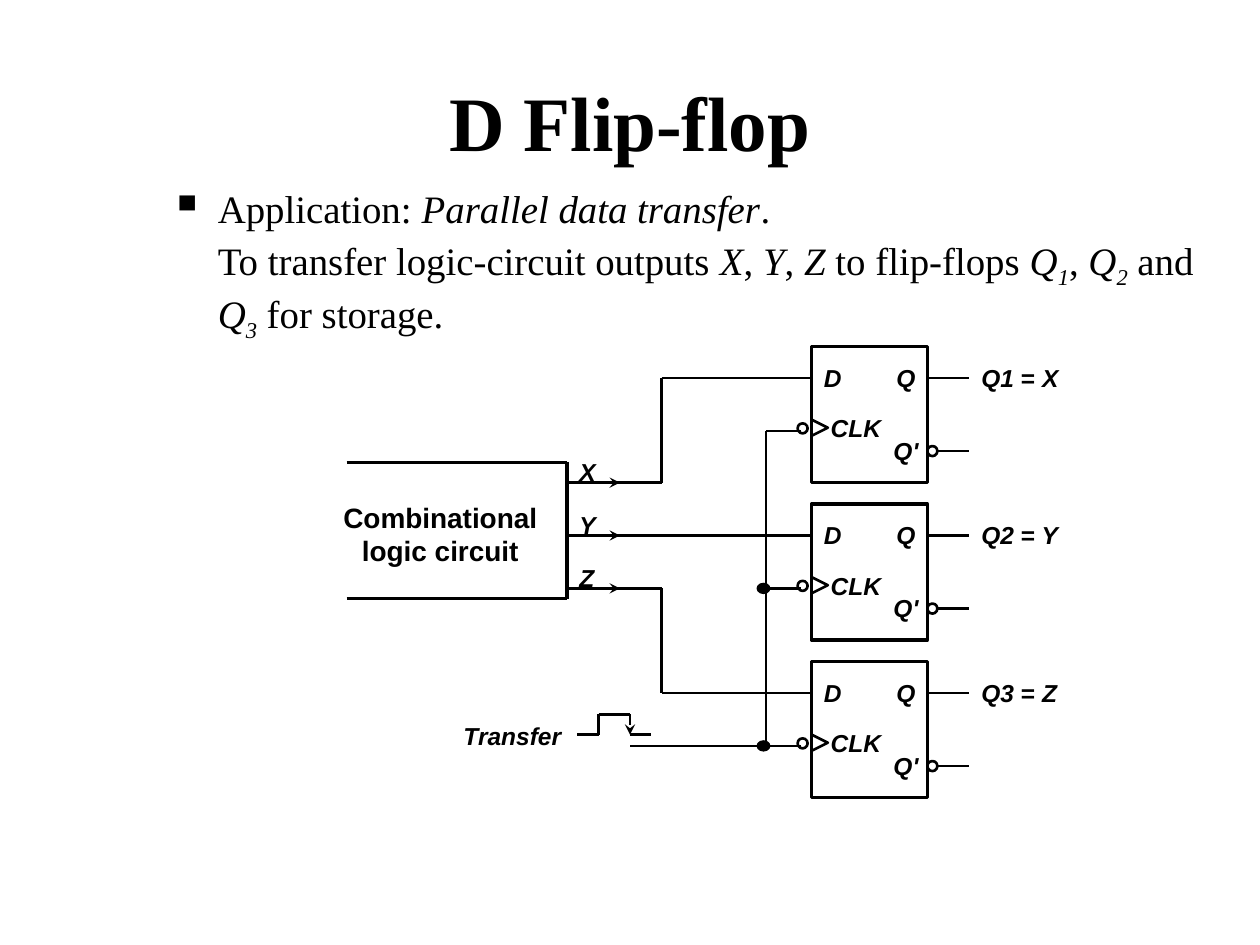
from lxml import etree
from pptx import Presentation
from pptx import util as u
from pptx.dml.color import RGBColor
from pptx.enum import shapes, text
from pptx.oxml.ns import qn

BLACK = RGBColor(0, 0, 0)
LEFT, CENTER = text.PP_ALIGN.LEFT, text.PP_ALIGN.CENTER
TITLE = {"name": "Times New Roman", "size": u.Pt(44), "bold": True}
BODY = {"name": "Times New Roman", "size": u.Pt(22.2), "italic": False}
BLOCK = {"name": "Arial", "size": u.Pt(16), "bold": True}
SIGNAL = {"name": "Arial", "size": u.Pt(14), "bold": True, "italic": True}
ITALIC, UPRIGHT = {"italic": True}, {"italic": False}

deck = Presentation()
deck.slide_width, deck.slide_height = u.Inches(10), u.Inches(7.5)
slide = deck.slides.add_slide(deck.slide_layouts[6])
parts = slide.shapes


def label(at, lines, style, align=LEFT, gap=0):
    """Add a text box; each line is a list of (words, format overrides)."""
    frame = parts.add_textbox(*map(u.Inches, at)).text_frame
    frame.word_wrap = True
    for number, line in enumerate(lines):
        para = frame.add_paragraph() if number else frame.paragraphs[0]
        para.alignment = align
        para.space_before = u.Pt(gap if number else 0)
        for words, changes in line:
            run = para.add_run()
            run.text = words
            run.font.color.rgb = BLACK
            for key, value in {**style, **changes}.items():
                setattr(run.font, key, value)
    return frame


def wire(x1, y1, x2, y2, width=1.5, arrow=False):
    """Add a straight black line, with an arrowhead at its end if asked."""
    line = parts.add_connector(shapes.MSO_CONNECTOR.STRAIGHT,
                               *map(u.Inches, (x1, y1, x2, y2)))
    line.line.color.rgb = BLACK
    line.line.width = u.Pt(width)
    if arrow:
        etree.SubElement(line.line._get_or_add_ln(), qn("a:tailEnd"), type="stealth")
    etree.SubElement(line._element.spPr, qn("a:effectLst"))


# Title and explanation
title = label((0.75, 0.33, 8.5, 1.25), [[("D Flip-flop", {})]], TITLE, CENTER)
title.vertical_anchor = text.MSO_ANCHOR.MIDDLE

application = [("Application: ", {}), ("Parallel data transfer", ITALIC), (".", {})]
purpose = [("To transfer logic-circuit outputs ", {}), ("X", ITALIC), (", ", {}),
           ("Y", ITALIC), (", ", {}), ("Z", ITALIC), (" to flip-flops ", {})]
for index, following in (("1", ", "), ("2", " and "), ("3", " for storage.")):
    purpose += [("Q", ITALIC), (index, ITALIC), (following, {})]
body = label((1.25, 1.42, 8.58, 1.42), [application, purpose], BODY, gap=3)

bulleted, plain = (para._p.get_or_add_pPr() for para in body.paragraphs)
for props, indent in ((bulleted, u.Inches(-0.38)), (plain, 0)):
    props.set("marL", str(u.Inches(0.38)))
    props.set("indent", str(indent))
etree.SubElement(bulleted, qn("a:buSzPct"), val="120000")
etree.SubElement(bulleted, qn("a:buChar"), char="▪")
for run in body.paragraphs[1].runs:
    if run.text.isdigit():
        run._r.get_or_add_rPr().set("baseline", "-25000")

# Symbols: outline boxes, clock wedges, inversion bubbles, junction dots
kinds = shapes.MSO_SHAPE
symbols = [(kinds.OVAL, 6.01, y, 0.1, 0.08, 0.75, 0) for y in (4.63, 5.88)]

# Flip-flops
for number, output in enumerate("XYZ", start=1):
    top = 2.75 + 1.25 * (number - 1)
    symbols += [
        (kinds.RECTANGLE, 6.44, top, 0.92, 1.08, 2, 0),
        (kinds.ISOSCELES_TRIANGLE, 6.44, top + 0.58, 0.13, 0.13, 1.5, 90),
        (kinds.OVAL, 6.33, top + 0.61, 0.08, 0.08, 1.5, 0),
        (kinds.OVAL, 7.36, top + 0.79, 0.08, 0.08, 1.5, 0),
    ]
    wire(7.36, top + 0.25, 7.69, top + 0.25)
    wire(7.44, top + 0.83, 7.69, top + 0.83)
    wire(5 if number == 3 else 6.08, top + 0.67, 6.36, top + 0.67)
    label((6.44, top + 0.08, 0.67, 0.74), [[("D", {})], [(" CLK", {})]],
          SIGNAL, gap=12.2)
    label((6.94, top + 0.08, 0.5, 0.92), [[("Q", {})], [("Q'", {})]],
          SIGNAL, CENTER, gap=24.9)
    label((7.69, top + 0.08, 0.92, 0.34),
          [[(f"Q{number} ", {}), ("=", UPRIGHT), (f" {output}", {})]], SIGNAL)

for kind, x, y, width, height, weight, angle in symbols:
    symbol = parts.add_shape(kind, *map(u.Inches, (x, y, width, height)))
    symbol.shadow.inherit = False
    symbol.rotation = angle
    symbol.line.color.rgb = BLACK
    symbol.line.width = u.Pt(weight)
    if weight < 1:
        symbol.fill.solid()
        symbol.fill.fore_color.rgb = BLACK
    else:
        symbol.fill.background()

# Combinational logic block, open on the left
for y in (3.67, 4.75):
    wire(2.75, y, 4.5, y, 2)
wire(4.5, 3.67, 4.5, 4.75, 2)
label((2.58, 3.92, 1.83, 0.64), [[("Combinational logic circuit", {})]], BLOCK, CENTER)

# Data wires from the block to the D inputs
for name, y, input_y in (("X", 3.83, 3), ("Y", 4.25, 4.25), ("Z", 4.67, 5.5)):
    wire(4.5, y, 4.92, y, arrow=True)
    wire(4.83, y, 5.25, y)
    if y != input_y:
        wire(5.25, y, 5.25, input_y)
    wire(5.25, input_y, 6.44, input_y)
    label((4.5, y - 0.25, 0.42, 0.34), [[(name, {})]], SIGNAL)

# Clock bus and transfer pulse
wire(6.08, 3.42, 6.08, 5.92)
label((3.58, 5.67, 1.08, 0.34), [[("Transfer", {})]], SIGNAL)
wire(4.58, 5.83, 4.75, 5.83)
wire(4.75, 5.83, 4.75, 5.67)
wire(4.75, 5.67, 5, 5.67)
wire(5, 5.67, 5, 5.83, arrow=True)
wire(5, 5.83, 5.17, 5.83)

deck.save("out.pptx")
